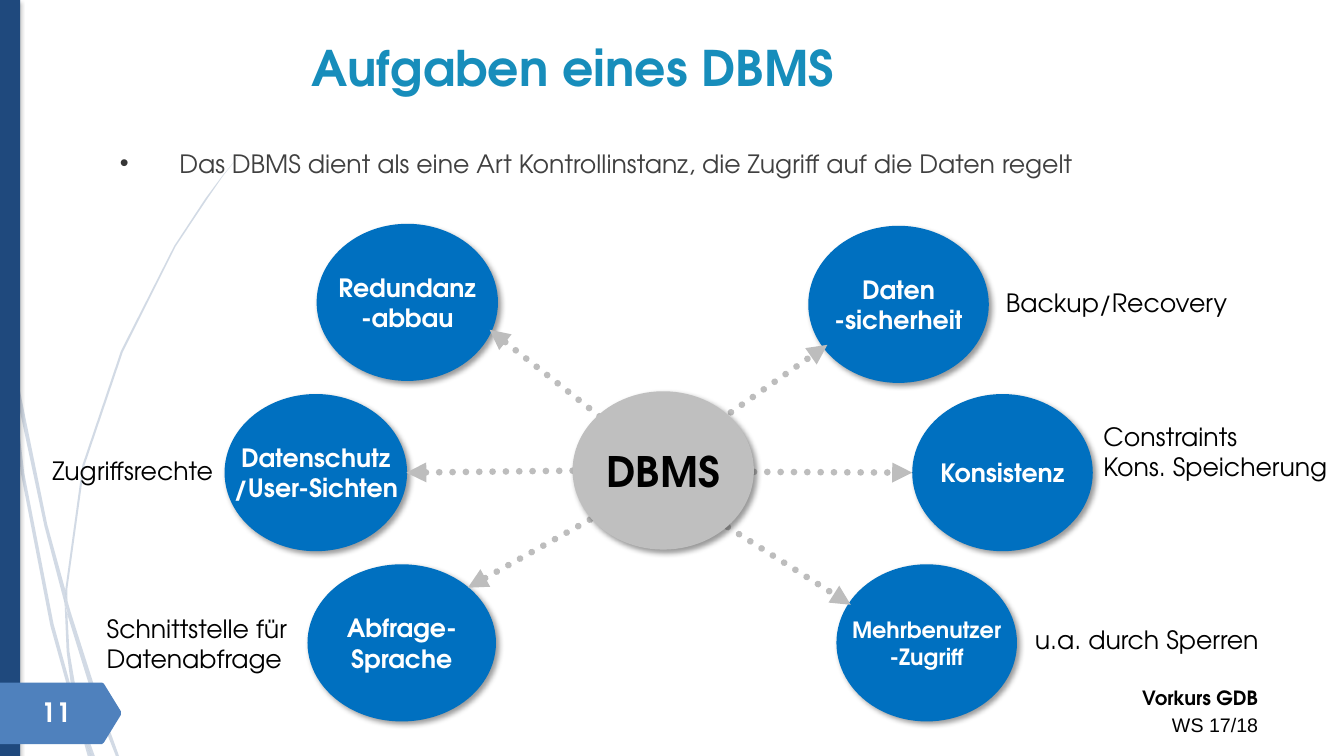
from lxml.etree import SubElement
from pptx import Presentation
from pptx.dml.color import RGBColor
from pptx.enum.dml import MSO_LINE
from pptx.enum.shapes import MSO_CONNECTOR, MSO_SHAPE
from pptx.enum.text import MSO_ANCHOR, PP_ALIGN
from pptx.oxml.ns import qn
from pptx.util import Cm, Pt

NAVY = RGBColor(0x1F, 0x49, 0x7D)
TAG_BLUE = RGBColor(0x4F, 0x81, 0xBD)
TITLE_BLUE = RGBColor(0x17, 0x8D, 0xBB)
TASK_BLUE = RGBColor(0x00, 0x70, 0xC0)
HUB_GREY = RGBColor(0xBF, 0xBF, 0xBF)
ARROW_GREY = RGBColor(0xBD, 0xBD, 0xBD)
BODY_GREY = RGBColor(0x40, 0x40, 0x40)
BLACK = RGBColor(0, 0, 0)
WHITE = RGBColor(0xFF, 0xFF, 0xFF)
FONT = "TeX Gyre Adventor"

SWOOSHES = [
    [(0.2, 8.89), (0.15, 8.18), (0, 7.16), (0, 7.59), (0.2, 8.74)],
    [(1.12, 13.26), (1.63, 15.21), (1.65, 14.88), (1.19, 13.21), (0.28, 8.76), (0.33, 9.55)],
    [(1.78, 15.42), (1.7, 15.14), (1.7, 15.49), (2.36, 17.63), (2.92, 19.05), (3, 19.05),
     (2.46, 17.55)],
    [(2.31, 19.05), (2.39, 19.05), (2.03, 18.06)],
    [(1.8, 17.35), (1.35, 15.72), (0.61, 11.91), (0.33, 9.55), (0.2, 8.89), (0.53, 11.94),
     (1.27, 15.77), (1.78, 17.6), (1.96, 18.14), (1.9, 17.96)],
    [(1.63, 15.21), (1.68, 16.41), (1.8, 17.35), (1.85, 17.58), (2.03, 18.06), (2.01, 17.93),
     (1.75, 16.41), (1.7, 15.49)],
    [(1.7, 14.83), (2.13, 11.73), (3.1, 8.86), (4.42, 6.22), (5.21, 5.03), (5.61, 4.45),
     (6.05, 3.89), (5.59, 4.45), (5.18, 5), (4.39, 6.2), (3.05, 8.84), (2.08, 11.71),
     (1.65, 14.83), (1.65, 14.88), (1.7, 15.14)],
    [(1.96, 18.14), (2.21, 19.05), (2.29, 19.05)],
    [(1.7, 15.44), (1.7, 15.14), (1.65, 14.88), (1.63, 15.21)],
    [(1.85, 17.58), (1.8, 17.35), (1.9, 17.96), (1.96, 18.14), (2.29, 19.05), (2.31, 19.05),
     (2.03, 18.06)],
]
PAGE_TAG = [(3.05, 18.01), (2.62, 18.71), (2.57, 18.75), (0, 18.75), (0, 17.2), (2.57, 17.2),
            (2.62, 17.23), (3.05, 17.93)]

TASKS = [
    ("Konsistenz", 22.99, 9.93, 4.55, 18),
    ("Redundanz\n-abbau", 7.98, 5.64, 4.57, 18),
    ("Datenschutz\n/User-Sichten", 5.66, 9.93, 4.6, 18),
    ("Mehrbenutzer\n-Zugriff", 21.08, 14.22, 4.55, 16),
    ("Daten\n-sicherheit", 20.37, 5.69, 4.55, 18),
    ("Abfrage-\nSprache", 7.75, 14.22, 4.75, 18),
]
ARROWS = [
    (15.11, 10.49, 12.34, 8.31),
    (18.34, 13.28, 21.44, 15.24),
    (15.16, 12.93, 11.79, 14.81),
    (14.43, 11.86, 10.24, 11.91),
    (18.42, 10.39, 20.85, 8.69),
    (19, 11.89, 22.99, 11.91),
]
REMARKS = [
    ("Backup/Recovery", 25.1, 7.11, 6.38, 1.02),
    ("Constraints\nKons. Speicherung", 27.56, 10.49, 6.22, 2.54),
    ("u.a. durch Sperren", 25.83, 15.6, 6.38, 1.78),
    ("Zugriffsrechte", 1.07, 11.35, 6.38, 1.02),
    ("Schnittstelle für Datenabfrage", 2.44, 15.32, 6.38, 1.78),
]


def write(frame, text, size, color, bold=False, align=PP_ALIGN.LEFT, spacing=None):
    """Fill a text frame and format every paragraph alike."""
    frame.text = text
    for paragraph in frame.paragraphs:
        paragraph.alignment = align
        paragraph.line_spacing = spacing
        for run in paragraph.runs:
            run.font.name = FONT
            run.font.size = Pt(size)
            run.font.bold = bold
            run.font.color.rgb = color


def add_label(slide, text, left, top, width, height, size=18, color=BLACK, **style):
    """Add a wrapping text box and return its text frame."""
    frame = slide.shapes.add_textbox(Cm(left), Cm(top), Cm(width), Cm(height)).text_frame
    frame.word_wrap = True
    write(frame, text, size, color, **style)
    return frame


def paint(shape, color):
    """Give a shape a plain fill without line or inherited shadow."""
    shape.shadow.inherit = False
    shape.fill.solid()
    shape.fill.fore_color.rgb = color
    shape.line.fill.background()


def cast_shadow(shape, alpha, blur, distance, angle):
    """Add a black outer shadow."""
    effects = shape._element.spPr.find(qn("a:effectLst"))
    shadow = SubElement(effects, qn("a:outerShdw"), blurRad=str(Pt(blur)), dist=str(Pt(distance)),
                        dir=str(angle * 60000), algn="tl", rotWithShape="0")
    tone = SubElement(shadow, qn("a:srgbClr"), val="000000")
    SubElement(tone, qn("a:alpha"), val=str(alpha * 1000))


def add_outline(slide, points, color, alpha=100):
    """Add a closed polygon through points given in centimetres."""
    corners = [(Cm(x), Cm(y)) for x, y in points]
    builder = slide.shapes.build_freeform(*corners[0])
    builder.add_line_segments(corners[1:], close=True)
    outline = builder.convert_to_shape()
    paint(outline, color)
    if alpha < 100:
        tone = outline._element.spPr.find(qn("a:solidFill"))[0]
        SubElement(tone, qn("a:alpha"), val=str(alpha * 1000))


def add_bubble(slide, text, left, top, width, size, height=3.96, fill=TASK_BLUE, ink=WHITE):
    """Add a shadowed ellipse with centred bold text."""
    bubble = slide.shapes.add_shape(MSO_SHAPE.OVAL, Cm(left), Cm(top), Cm(width), Cm(height))
    paint(bubble, fill)
    cast_shadow(bubble, 40, 4, 3, 45)
    frame = bubble.text_frame
    frame.margin_left = frame.margin_right = frame.margin_top = frame.margin_bottom = 0
    frame.word_wrap = False
    frame.vertical_anchor = MSO_ANCHOR.MIDDLE
    write(frame, text, size, ink, bold=True, align=PP_ALIGN.CENTER)


def add_arrow(slide, *ends):
    """Add a dotted arrow from the first to the second point."""
    arrow = slide.shapes.add_connector(MSO_CONNECTOR.STRAIGHT, *map(Cm, ends))
    arrow.line.color.rgb = ARROW_GREY
    arrow.line.width = Pt(4.76)
    arrow.line.dash_style = MSO_LINE.ROUND_DOT
    stroke = arrow.line._get_or_add_ln()
    stroke.set("cap", "rnd")
    SubElement(stroke, qn("a:tailEnd"), type="triangle")
    SubElement(arrow._element.spPr, qn("a:effectLst"))


def add_bullet(paragraph, indent):
    """Turn a paragraph into a bullet item with a hanging indent."""
    settings = paragraph._p.get_or_add_pPr()
    settings.set("marL", str(Cm(indent)))
    settings.set("indent", str(-Cm(indent)))
    SubElement(SubElement(settings, qn("a:buClr")), qn("a:srgbClr"), val="353535")
    SubElement(settings, qn("a:buFont"), typeface="Arial")
    SubElement(settings, qn("a:buChar"), char="•")


def add_frame(slide):
    """Add the side band, the swooshes, the footer and the page number."""
    for swoosh in SWOOSHES:
        add_outline(slide, swoosh, NAVY, alpha=20)
    band = slide.shapes.add_shape(MSO_SHAPE.RECTANGLE, 0, 0, Cm(0.51), Cm(19.05))
    paint(band, NAVY)
    cast_shadow(band, 25, 3, 2, 90)
    footer = add_label(slide, "Vorkurs GDB\nWS 17/18", 18.75, 17.07, 13.21, 1.63, size=14,
                       bold=True, align=PP_ALIGN.RIGHT, spacing=1.14)
    term = footer.paragraphs[1].runs[0].font
    term.name, term.bold = "Arial", False
    add_outline(slide, PAGE_TAG, TAG_BLUE)
    add_label(slide, "11", 0.79, 17.42, 1.78, 1.07, size=19, color=WHITE, bold=True)


def main():
    """Build the slide and save it."""
    deck = Presentation()
    deck.slide_width, deck.slide_height = Cm(33.87), Cm(19.05)
    slide = deck.slides.add_slide(deck.slide_layouts[6])
    add_frame(slide)
    add_label(slide, "Aufgaben eines DBMS", 3.05, 0.81, 22.78, 2.06, size=35,
              color=TITLE_BLUE, bold=True, align=PP_ALIGN.CENTER)
    intro = add_label(slide, "Das DBMS dient als eine Art Kontrollinstanz, "
                      "die Zugriff auf die Daten regelt", 2.77, 3.45, 28.91, 12.04,
                      color=BODY_GREY, spacing=1.2)
    add_bullet(intro.paragraphs[0], 1.5)
    for task in TASKS:
        add_bubble(slide, *task)
    for arrow in ARROWS:
        add_arrow(slide, *arrow)
    add_bubble(slide, "DBMS", 14.43, 9.86, 4.57, 30, height=3.99, fill=HUB_GREY, ink=BLACK)
    for remark in REMARKS:
        add_label(slide, *remark)
    deck.save("out.pptx")


main()
